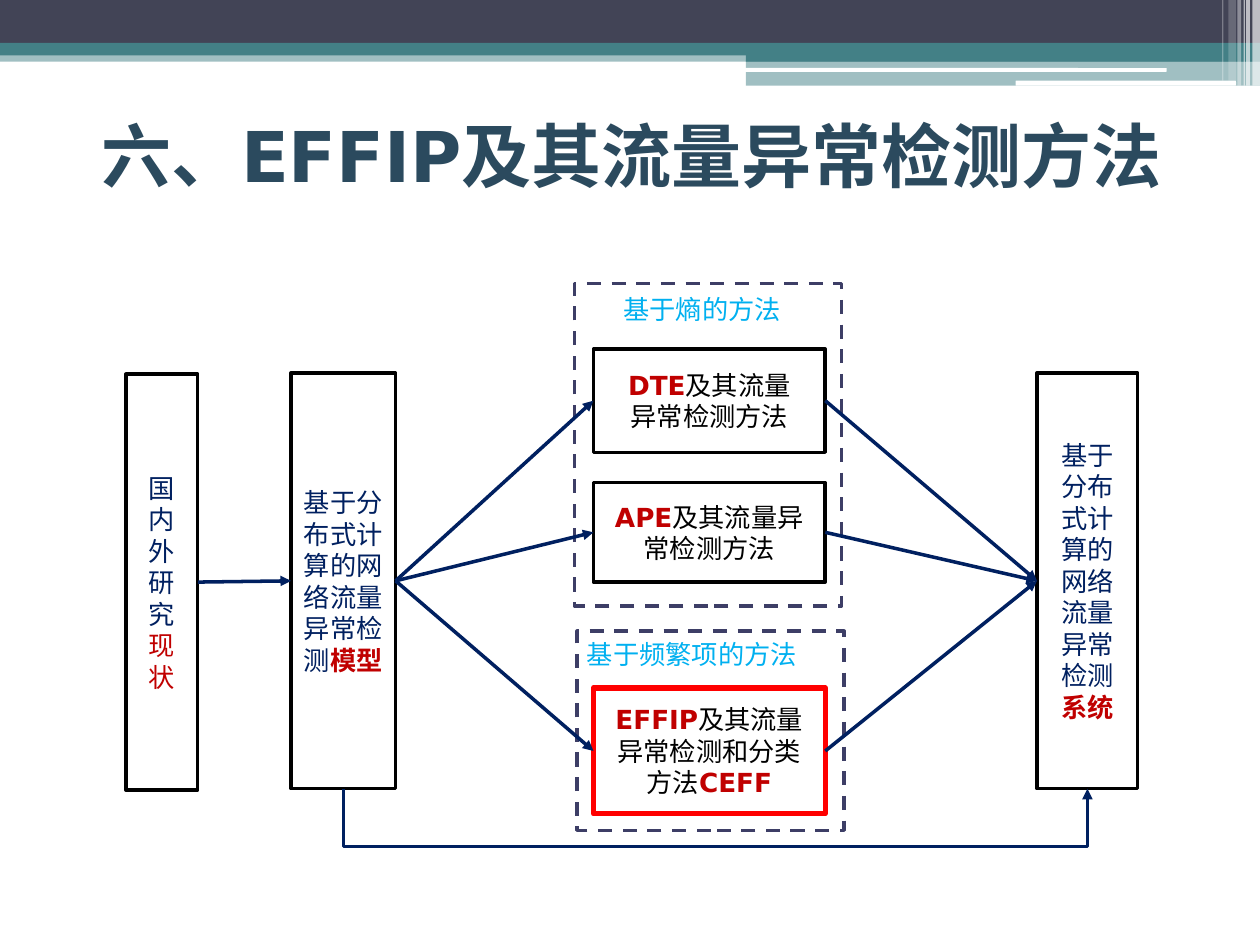
from typing import NamedTuple, Optional

from lxml.etree import SubElement
from pptx import Presentation
from pptx.dml.color import RGBColor
from pptx.enum.dml import MSO_LINE
from pptx.enum.shapes import MSO_CONNECTOR, MSO_SHAPE
from pptx.enum.text import MSO_ANCHOR, PP_ALIGN
from pptx.oxml.ns import qn
from pptx.util import Inches, Pt

WHITE = RGBColor(0xFF, 0xFF, 0xFF)
BLACK = RGBColor(0, 0, 0)
RED = RGBColor(0xFF, 0, 0)
CRIMSON = RGBColor(0xC0, 0, 0)
NAVY = RGBColor(0, 0x20, 0x60)
SKY = RGBColor(0, 0xB0, 0xF0)
INDIGO = RGBColor(0x3D, 0x3E, 0x66)
SLATE = RGBColor(0x42, 0x44, 0x56)
TEAL = RGBColor(0x43, 0x80, 0x86)
TITLE_BLUE = RGBColor(0x2B, 0x4A, 0x5E)
BODY_FONT = "DejaVu Sans"
LABEL_FONT = "Calibri"


class Area(NamedTuple):
    left: float
    top: float
    width: float
    height: float

    @property
    def lengths(self):
        return [Inches(value) for value in self]

    @property
    def west(self):
        return self.left, self.top + self.height / 2

    @property
    def east(self):
        return self.left + self.width, self.top + self.height / 2

    @property
    def south(self):
        return self.left + self.width / 2, self.top + self.height


class Band(NamedTuple):
    area: Area
    color: RGBColor
    opacity: int = 100
    rounded: bool = False


class Words(NamedTuple):
    text: str
    color: RGBColor
    bold: bool = False


class Step(NamedTuple):
    area: Area
    lines: list
    border: RGBColor = BLACK
    weight: float = 2


class Group(NamedTuple):
    frame: Area
    label: Area
    heading: str


BANDS = [
    Band(Area(0, 0.4, 10, 0.09), TEAL, 50),
    Band(Area(0, 0, 10, 0.34), SLATE),
    Band(Area(0, 0.34, 10, 0.1), TEAL),
    Band(Area(5.92, 0.39, 4.08, 0.1), TEAL),
    Band(Area(5.92, 0.48, 4.08, 0.2), TEAL, 50),
    Band(Area(5.91, 0.54, 3.35, 0.03), WHITE, rounded=True),
    Band(Area(8.06, 0.64, 1.75, 0.04), WHITE, rounded=True),
    Band(Area(9.94, 0, 0.06, 0.68), WHITE, 65),
    Band(Area(9.89, 0, 0.03, 0.68), WHITE, 65),
    Band(Area(9.87, 0, 0.01, 0.68), WHITE, 60),
    Band(Area(9.82, 0, 0.03, 0.68), WHITE, 40),
    Band(Area(9.75, 0, 0.06, 0.64), WHITE, 20),
    Band(Area(9.7, 0, 0.01, 0.64), WHITE, 30),
]
TITLE_AREA = Area(0.51, 0.64, 9, 1.17)
TITLE = Words("六、EFFIP及其流量异常检测方法", TITLE_BLUE, True)
SUBJECT = Words("基于分布式计算的网络流量异常检测", NAVY)

STATUS = Step(Area(1, 2.97, 0.57, 3.3), [[Words("国内外研究", NAVY), Words("现状", CRIMSON)]])
MODEL = Step(Area(2.31, 2.96, 0.83, 3.3), [[SUBJECT, Words("模型", CRIMSON, True)]])
SYSTEM = Step(Area(8.23, 2.96, 0.8, 3.3), [[SUBJECT, Words("系统", CRIMSON, True)]])
METHODS = [
    Step(Area(4.71, 2.77, 1.84, 0.82),
         [[Words("DTE", CRIMSON, True), Words("及其流量", BLACK)],
          [Words("异常检测方法", BLACK)]]),
    Step(Area(4.71, 3.83, 1.84, 0.79),
         [[Words("APE", CRIMSON, True), Words("及其流量异常检测方法", BLACK)]]),
    Step(Area(4.71, 5.46, 1.84, 1),
         [[Words("EFFIP", CRIMSON, True), Words("及其流量异常检测和分类方法", BLACK),
           Words("CEFF", CRIMSON, True)]], RED, 3),
]
GROUPS = [
    Group(Area(4.56, 2.25, 2.12, 2.56), Area(4.85, 2.28, 1.7, 0.45), "基于熵的方法"),
    Group(Area(4.58, 5.01, 2.12, 1.58), Area(4.56, 5.02, 2.25, 0.45), "基于频繁项的方法"),
]
BYPASS_LEVEL = 6.72


def draw_band(slide, band: Band) -> None:
    kind = MSO_SHAPE.ROUNDED_RECTANGLE if band.rounded else MSO_SHAPE.RECTANGLE
    strip = slide.shapes.add_shape(kind, *band.area.lengths)
    strip.shadow.inherit = False
    strip.fill.solid()
    strip.fill.fore_color.rgb = band.color
    strip.line.fill.background()
    if band.opacity < 100:
        color = strip.fill._xPr.find(".//" + qn("a:srgbClr"))
        SubElement(color, qn("a:alpha"), val=str(band.opacity * 1000))


def write(frame, lines: list, size: float, font: str = BODY_FONT,
          align: PP_ALIGN = PP_ALIGN.CENTER, anchor: MSO_ANCHOR = MSO_ANCHOR.MIDDLE) -> None:
    frame.word_wrap = True
    frame.vertical_anchor = anchor
    for index, line in enumerate(lines):
        paragraph = frame.add_paragraph() if index else frame.paragraphs[0]
        paragraph.alignment = align
        for words in line:
            run = paragraph.add_run()
            run.text = words.text
            run.font.name = font
            run.font.size = Pt(size)
            run.font.bold = words.bold
            run.font.color.rgb = words.color


def draw_box(slide, area: Area, color: RGBColor, weight: float,
             dash: Optional[MSO_LINE] = None):
    box = slide.shapes.add_shape(MSO_SHAPE.RECTANGLE, *area.lengths)
    box.shadow.inherit = False
    box.fill.background()
    box.line.color.rgb = color
    box.line.width = Pt(weight)
    if dash is not None:
        box.line.dash_style = dash
    return box


def draw_step(slide, step: Step) -> None:
    box = draw_box(slide, step.area, step.border, step.weight)
    write(box.text_frame, step.lines, 15)


def draw_group(slide, group: Group) -> None:
    label = slide.shapes.add_textbox(*group.label.lengths)
    write(label.text_frame, [[Words(group.heading, SKY)]], 15, LABEL_FONT,
          PP_ALIGN.LEFT, MSO_ANCHOR.TOP)
    draw_box(slide, group.frame, INDIGO, 2, MSO_LINE.DASH)


def style_arrow(route) -> None:
    route.line.color.rgb = NAVY
    route.line.width = Pt(2)
    SubElement(route.line._get_or_add_ln(), qn("a:tailEnd"), type="triangle")


def draw_arrow(slide, start: tuple, end: tuple) -> None:
    ends = [Inches(value) for value in (*start, *end)]
    arrow = slide.shapes.add_connector(MSO_CONNECTOR.STRAIGHT, *ends)
    style_arrow(arrow)
    SubElement(arrow._element.spPr, qn("a:effectLst"))


def draw_bypass(slide, start: tuple, end: tuple, level: float) -> None:
    points = [start, (start[0], level), (end[0], level), end]
    first, *others = [(Inches(x), Inches(y)) for x, y in points]
    builder = slide.shapes.build_freeform(*first)
    builder.add_line_segments(others, close=False)
    bypass = builder.convert_to_shape()
    bypass.shadow.inherit = False
    bypass.fill.background()
    style_arrow(bypass)


def main() -> None:
    """Build the slide that places EFFIP in the traffic anomaly detection study."""
    deck = Presentation()
    deck.slide_width, deck.slide_height = Inches(10), Inches(7.5)
    slide = deck.slides.add_slide(deck.slide_layouts[6])
    for band in BANDS:
        draw_band(slide, band)
    title = slide.shapes.add_textbox(*TITLE_AREA.lengths)
    write(title.text_frame, [[TITLE]], 40)
    for step in (STATUS, MODEL, SYSTEM, *METHODS):
        draw_step(slide, step)
    for group in GROUPS:
        draw_group(slide, group)
    draw_arrow(slide, STATUS.area.east, MODEL.area.west)
    for method in METHODS:
        draw_arrow(slide, MODEL.area.east, method.area.west)
        draw_arrow(slide, method.area.east, SYSTEM.area.west)
    draw_bypass(slide, MODEL.area.south, SYSTEM.area.south, BYPASS_LEVEL)
    deck.save("out.pptx")


if __name__ == "__main__":
    main()
